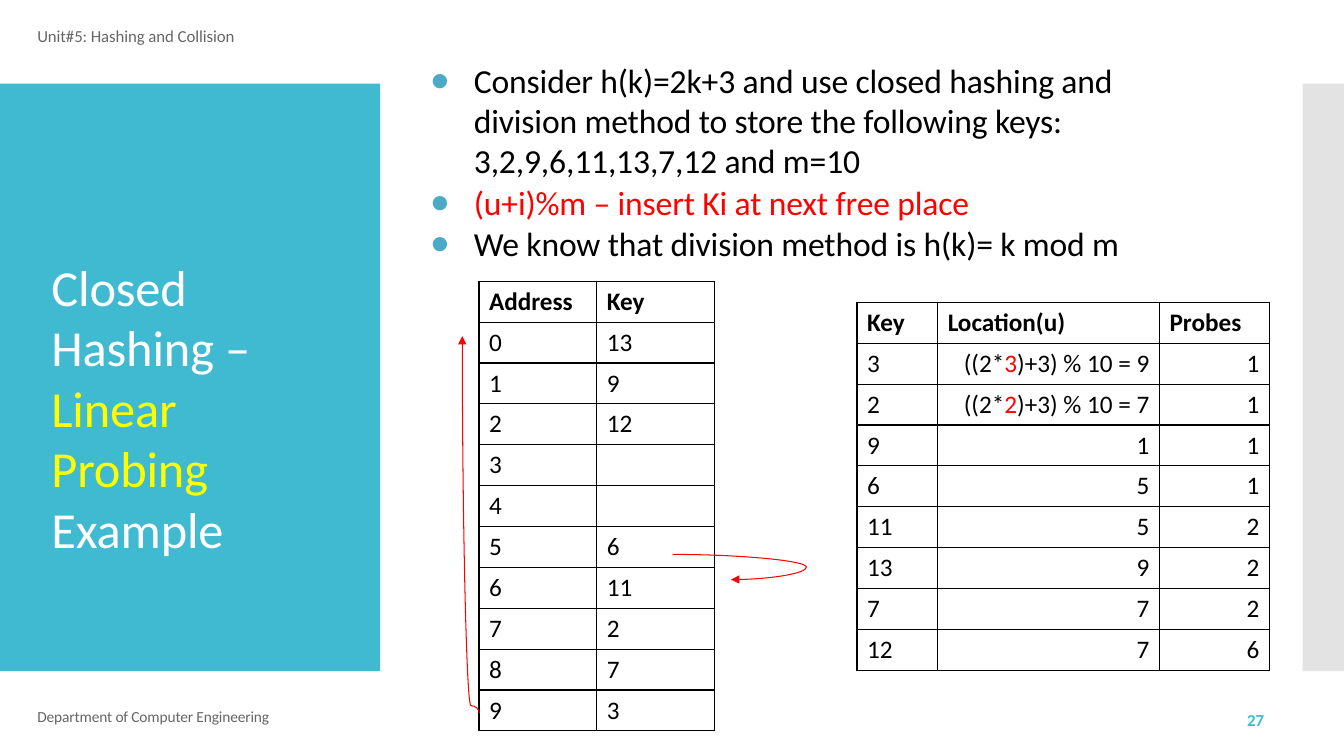
from dataclasses import dataclass
from lxml.etree import SubElement
from pptx import Presentation
from pptx.dml.color import RGBColor
from pptx.enum.shapes import MSO_CONNECTOR, MSO_SHAPE
from pptx.enum.text import PP_ALIGN
from pptx.oxml import parse_xml
from pptx.oxml.ns import nsdecls, qn
from pptx.util import Inches, Pt


@dataclass(frozen=True)
class Theme:
    """Hold the colours, the font and the type sizes."""
    font: str = "Calibri"
    teal: str = "40BAD1"
    grey: str = "C8C8C8"
    dim: str = "666666"
    ink: str = "000000"
    white: str = "FFFFFF"
    yellow: str = "FFFF00"
    red: str = "FF0000"
    dot: str = "4BABC6"
    title: int = 36
    body: int = 24
    cell: int = 18
    note: int = 12
    foot: int = 11


THEME = Theme()


def write(para, runs, size, color=THEME.ink, bold=False, track=0, align=None):
    """Add runs, each a string or a (string, colour) pair, to a paragraph."""
    para.alignment = align
    for item in [runs] if isinstance(runs, str) else runs:
        words, tint = (item, color) if isinstance(item, str) else item
        run = para.add_run()
        run.text = words
        run.font.name = THEME.font
        run.font.size = Pt(size)
        run.font.bold = bold
        run.font.color.rgb = RGBColor.from_string(tint)
        if track:
            run.font._element.set("spc", str(track))


def add_dot(para):
    """Give a paragraph a round bullet and a hanging indent."""
    props = para._p.get_or_add_pPr()
    props.set("marL", str(Inches(0.45)))
    props.set("indent", str(Inches(-0.43)))
    tint = SubElement(props, qn("a:buClr"))
    SubElement(tint, qn("a:srgbClr"), val=THEME.dot)
    SubElement(props, qn("a:buSzPct"), val="92000")
    SubElement(props, qn("a:buFont"), typeface=THEME.font)
    SubElement(props, qn("a:buChar"), char="●")


def add_text(slide, box, paras, top=0.01, before=1, line=None,
             indent=0.01, dots=False, **style):
    """Add a text box with one paragraph for each entry."""
    frame = slide.shapes.add_textbox(*map(Inches, box)).text_frame
    frame.word_wrap = True
    frame.margin_left = frame.margin_right = frame.margin_bottom = 0
    frame.margin_top = Inches(top)
    for i, runs in enumerate(paras):
        para = frame.add_paragraph() if i else frame.paragraphs[0]
        para.space_before = Pt(before)
        if line:
            para.line_spacing = line
        if dots:
            add_dot(para)
        else:
            para._p.get_or_add_pPr().set("marL", str(Inches(indent)))
        write(para, runs, **style)


def add_panel(slide, box, color, alpha=100):
    """Add a plain rectangle of one colour."""
    panel = slide.shapes.add_shape(MSO_SHAPE.RECTANGLE, *map(Inches, box))
    panel.shadow.inherit = False
    panel.line.fill.background()
    panel.fill.solid()
    panel.fill.fore_color.rgb = RGBColor.from_string(color)
    if alpha < 100:
        tint = panel.element.spPr.find(".//" + qn("a:srgbClr"))
        SubElement(tint, qn("a:alpha"), val=str(alpha * 1000))


def add_edge(cell):
    """Draw a thin line on all four sides of a cell."""
    props = cell._tc.get_or_add_tcPr()
    for i, side in enumerate("LRTB"):
        props.insert(i, parse_xml(
            f'<a:ln{side} {nsdecls("a")} w="{Pt(1)}"><a:solidFill>'
            f'<a:srgbClr val="{THEME.ink}"/></a:solidFill></a:ln{side}>'))


def add_grid(slide, left, top, widths, rows, right=()):
    """Add a ruled table with a bold head and right-aligned columns."""
    height = 0.4057
    grid = slide.shapes.add_table(
        len(rows), len(widths), Inches(left), Inches(top),
        Inches(sum(widths)), Inches(height * len(rows))).table
    grid.first_row = grid.horz_banding = False
    for col, width in zip(grid.columns, widths):
        col.width = Inches(width)
    for i, row in enumerate(rows):
        for j, runs in enumerate(row):
            cell = grid.cell(i, j)
            cell.fill.background()
            add_edge(cell)
            align = PP_ALIGN.RIGHT if i and j in right else PP_ALIGN.LEFT
            write(cell.text_frame.paragraphs[0], runs, THEME.cell,
                  bold=i == 0, align=align)


def add_curve(slide, start, end, bend, turn=0):
    """Add a red curved arrow with a bend ratio and a turn in degrees."""
    curve = slide.shapes.add_connector(
        MSO_CONNECTOR.CURVE, *map(Inches, start + end))
    curve.line.color.rgb = RGBColor.from_string(THEME.red)
    curve.line.width = Pt(0.75)
    props = curve.element.spPr
    props.find(qn("a:xfrm")).set("rot", str(turn * 60000))
    guides = props.find(qn("a:prstGeom")).find(qn("a:avLst"))
    SubElement(guides, qn("a:gd"), name="adj1",
               fmla=f"val {round(bend * 100000)}")
    SubElement(props.find(qn("a:ln")), qn("a:tailEnd"), type="triangle")
    SubElement(props, qn("a:effectLst"))


def work_out(key):
    """Spell out the hash of a key with the key in red."""
    return ["((2*", (str(key), THEME.red), f")+3) % 10 = {(2 * key + 3) % 10}"]


def main():
    """Build the linear probing slide."""
    deck = Presentation()
    deck.slide_width, deck.slide_height = Inches(13.33), Inches(7.5)
    slide = deck.slides.add_slide(deck.slide_layouts[6])

    add_panel(slide, (0, 0.83, 3.77, 5.83), THEME.teal)
    add_panel(slide, (12.92, 0.83, 0.41, 5.83), THEME.grey, alpha=50)
    add_text(slide, (0.36, 0.25, 2.05, 0.23),
             ["Unit#5: Hashing and Collision"],
             size=THEME.note, color=THEME.dim, track=-5)
    add_text(slide, (0.5, 2.53, 2.49, 3.04),
             [["Closed Hashing – ", ("Linear Probing", THEME.yellow),
               " Example"]],
             size=THEME.title, color=THEME.white, track=-10)
    add_text(slide, (4.25, 0.58, 7.29, 2.06),
             ["Consider h(k)=2k+3 and use closed hashing and division method "
              "to store the following keys: 3,2,9,6,11,13,7,12 and m=10",
              [("(u+i)%m – insert Ki at next free place", THEME.red)],
              "We know that division method is h(k)= k mod m"],
             before=0.8, line=1.0, dots=True, size=THEME.body, track=-10)
    add_text(slide, (0.36, 7.04, 2.49, 0.18),
             ["Department of Computer Engineering"], top=0, before=0,
             line=Pt(11.4), size=THEME.foot, color=THEME.dim, track=-10)
    add_text(slide, (12.33, 7.07, 0.26, 0.19), ["27"], top=0, before=0,
             line=Pt(12.3), indent=0.04, size=THEME.note, color=THEME.teal,
             bold=True)

    slots = ["13", "9", "12", "", "", "6", "11", "2", "7", "3"]
    add_grid(slide, 4.75, 2.79, [1.17] * 2,
             [("Address", "Key")] + [(str(i), key if key else [])
                                     for i, key in enumerate(slots)])
    probes = {3: 1, 2: 1, 9: 1, 6: 1, 11: 2, 13: 2, 7: 2, 12: 6}
    steps = [(str(key), work_out(key) if key in (3, 2)
              else str((2 * key + 3) % 10), str(count))
             for key, count in probes.items()]
    add_grid(slide, 8.5, 3, [0.8, 2.2, 1.09],
             [("Key", "Location(u)", "Probes")] + steps, right=(1, 2))

    add_curve(slide, (6.67, 5.5), (7.25, 5.75), 2.29)
    add_curve(slide, (2.8, 5.29), (6.54, 5.12), 0.02, turn=270)
    deck.save("out.pptx")


main()
